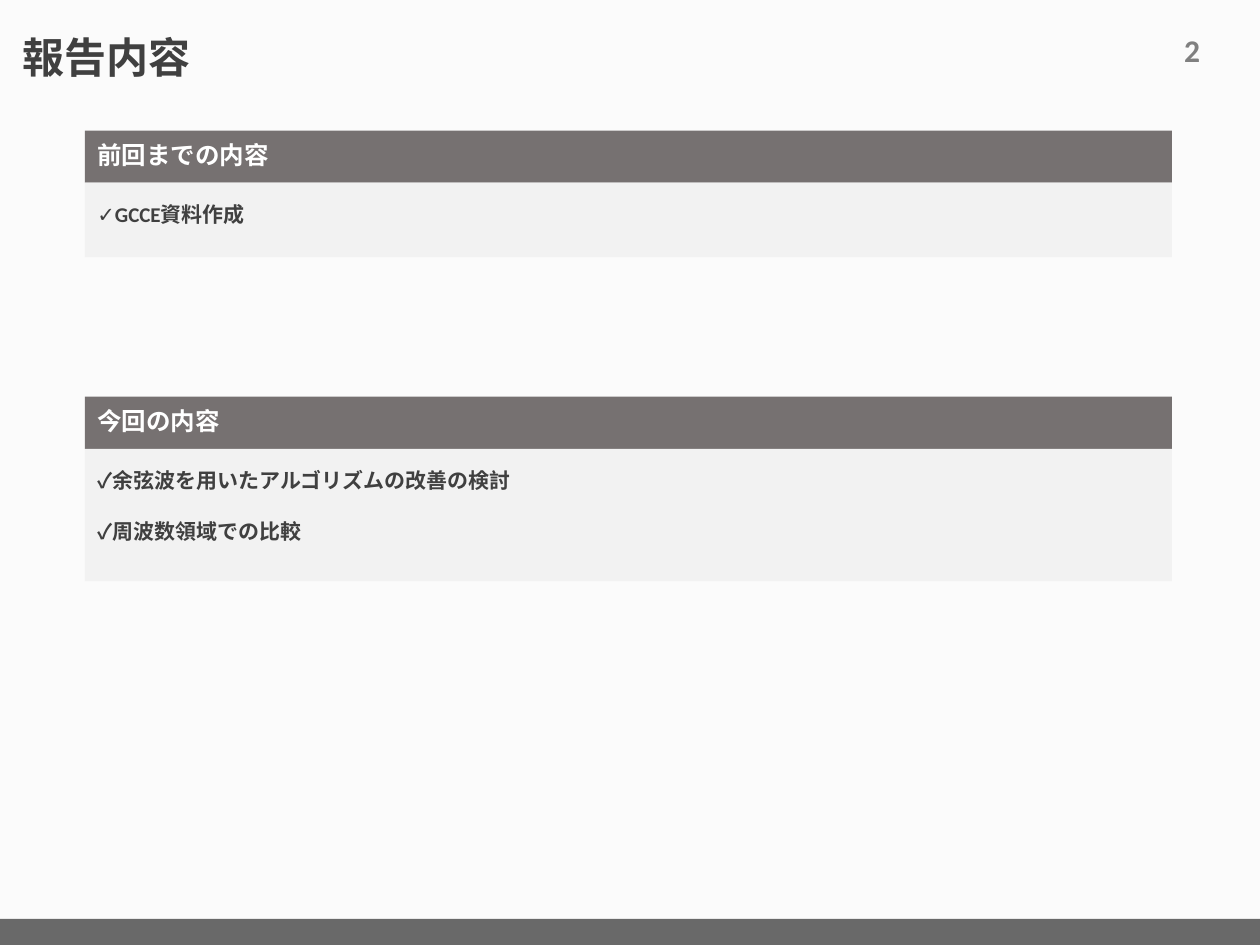
from pptx import Presentation
from pptx.dml.color import RGBColor
from pptx.enum.shapes import MSO_SHAPE
from pptx.enum.text import MSO_ANCHOR, PP_ALIGN
from pptx.util import Pt

RECTANGLE = MSO_SHAPE.RECTANGLE
TOP, MIDDLE, BOTTOM = MSO_ANCHOR.TOP, MSO_ANCHOR.MIDDLE, MSO_ANCHOR.BOTTOM
LEFT = PP_ALIGN.LEFT

COLORS = {
    "background": "FBFBFB",
    "footer": "696969",
    "heading": "767171",
    "panel": "F2F2F2",
    "dark": "404040",
    "number": "808080",
    "white": "FFFFFF",
}
STYLES = {
    "title": {"font": {"name": "Arial", "size": Pt(24), "bold": True}, "color": "dark",
              "paragraph": {"line_spacing": 0.9}, "anchor": BOTTOM},
    "number": {"font": {"name": "Calibri", "size": Pt(18), "bold": True}, "color": "number",
               "paragraph": {}, "anchor": TOP},
    "heading": {"font": {"name": "Calibri", "size": Pt(14), "bold": True}, "color": "white",
                "paragraph": {"line_spacing": 0.9}, "anchor": MIDDLE},
    "item": {"font": {"name": "Calibri", "size": Pt(12), "bold": True}, "color": "dark",
             "paragraph": {"line_spacing": 1.5, "space_before": Pt(7.5)}, "anchor": TOP},
}
SECTIONS = [
    (74.6, 42.5, "前回までの内容", ["✓GCCE資料作成"]),
    (226.7, 75.6, "今回の内容", ["✓余弦波を用いたアルゴリズムの改善の検討", "✓周波数領域での比較"]),
]
SECTION_LEFT, SECTION_WIDTH, HEADING_HEIGHT = 48.5, 621.2, 29.8


def rgb(name):
    return RGBColor.from_string(COLORS[name])


def set_attributes(target, values):
    for name, value in values.items():
        setattr(target, name, value)


def write_text(shape, lines, style_name):
    style = STYLES[style_name]
    frame = shape.text_frame
    set_attributes(frame, {"word_wrap": True, "vertical_anchor": style["anchor"]})
    for index, line in enumerate(lines):
        paragraph = frame.add_paragraph() if index else frame.paragraphs[0]
        set_attributes(paragraph, {"alignment": LEFT, **style["paragraph"]})
        run = paragraph.add_run()
        run.text = line
        set_attributes(run.font, style["font"])
        run.font.color.rgb = rgb(style["color"])


def add_text(slide, box, text, style_name):
    shape = slide.shapes.add_textbox(*map(Pt, box))
    write_text(shape, [text], style_name)


def add_bar(slide, box, color):
    shape = slide.shapes.add_shape(RECTANGLE, *map(Pt, box))
    shape.shadow.inherit = False
    shape.fill.solid()
    shape.fill.fore_color.rgb = rgb(color)
    shape.line.fill.background()
    return shape


def add_section(slide, top, panel_height, heading, items):
    heading_box = (SECTION_LEFT, top, SECTION_WIDTH, HEADING_HEIGHT)
    panel_box = (SECTION_LEFT, top + HEADING_HEIGHT, SECTION_WIDTH, panel_height)
    write_text(add_bar(slide, heading_box, "heading"), [heading], "heading")
    write_text(add_bar(slide, panel_box, "panel"), items, "item")


def main():
    """Build the report contents slide and save it."""
    presentation = Presentation()
    set_attributes(presentation, {"slide_width": Pt(720), "slide_height": Pt(540)})
    slide = presentation.slides.add_slide(presentation.slide_layouts[6])
    slide.background.fill.solid()
    slide.background.fill.fore_color.rgb = rgb("background")
    add_bar(slide, (0, 525, 720, 15), "footer")
    add_text(slide, (6, 6, 385, 44.5), "報告内容", "title")
    add_text(slide, (669.5, 14, 38, 29), "2", "number")
    for section in SECTIONS:
        add_section(slide, *section)
    presentation.save("out.pptx")


main()
